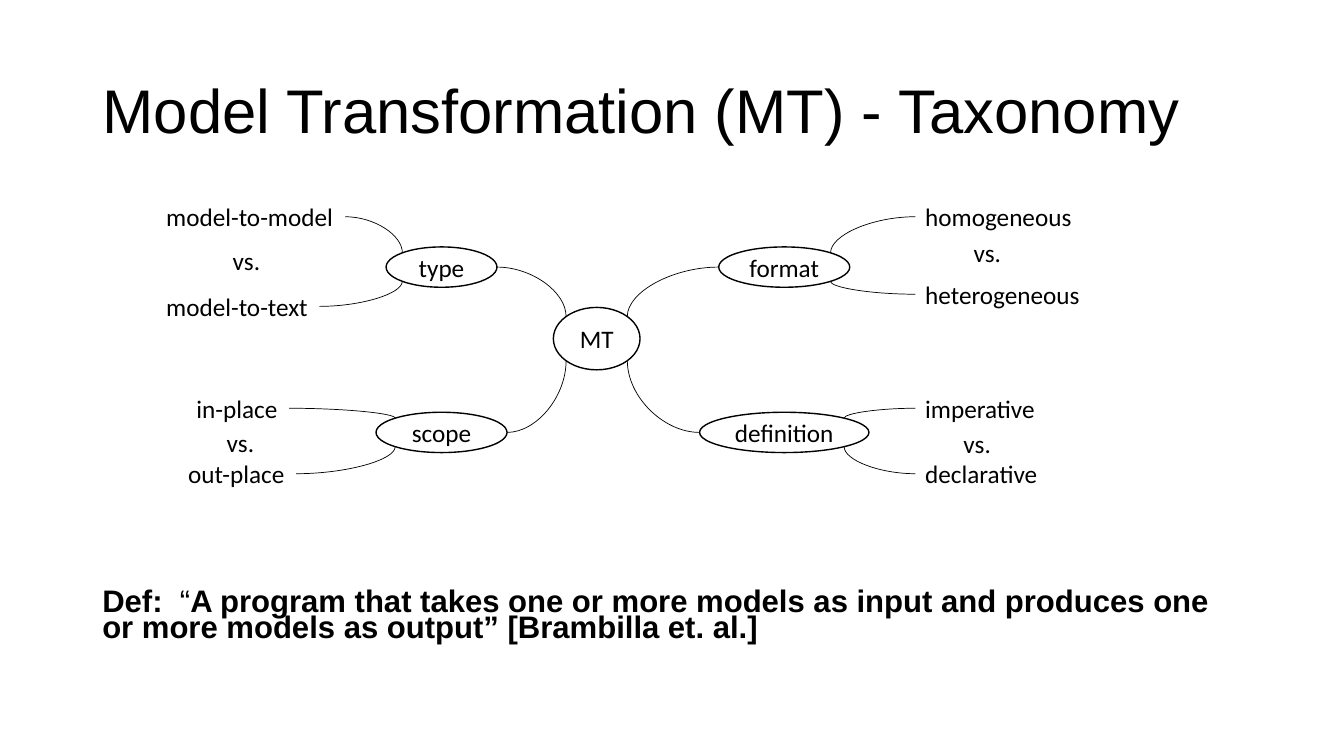
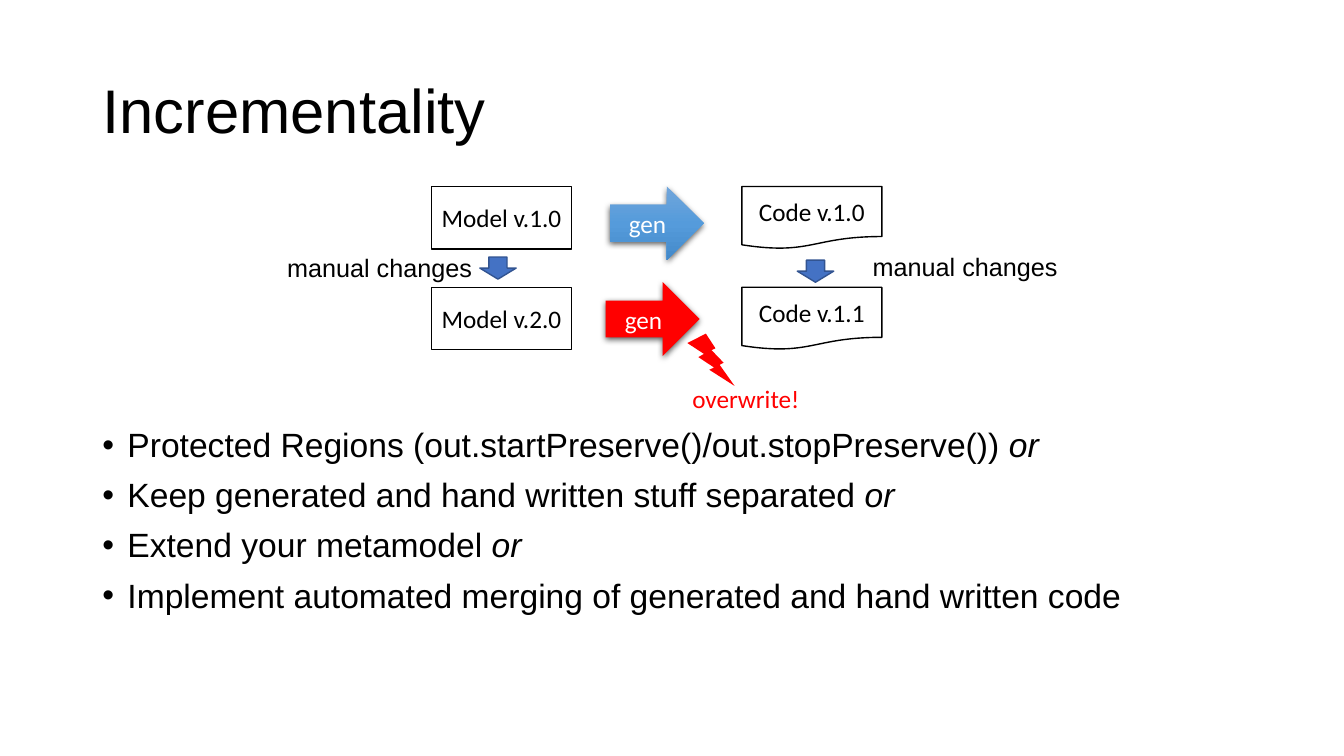
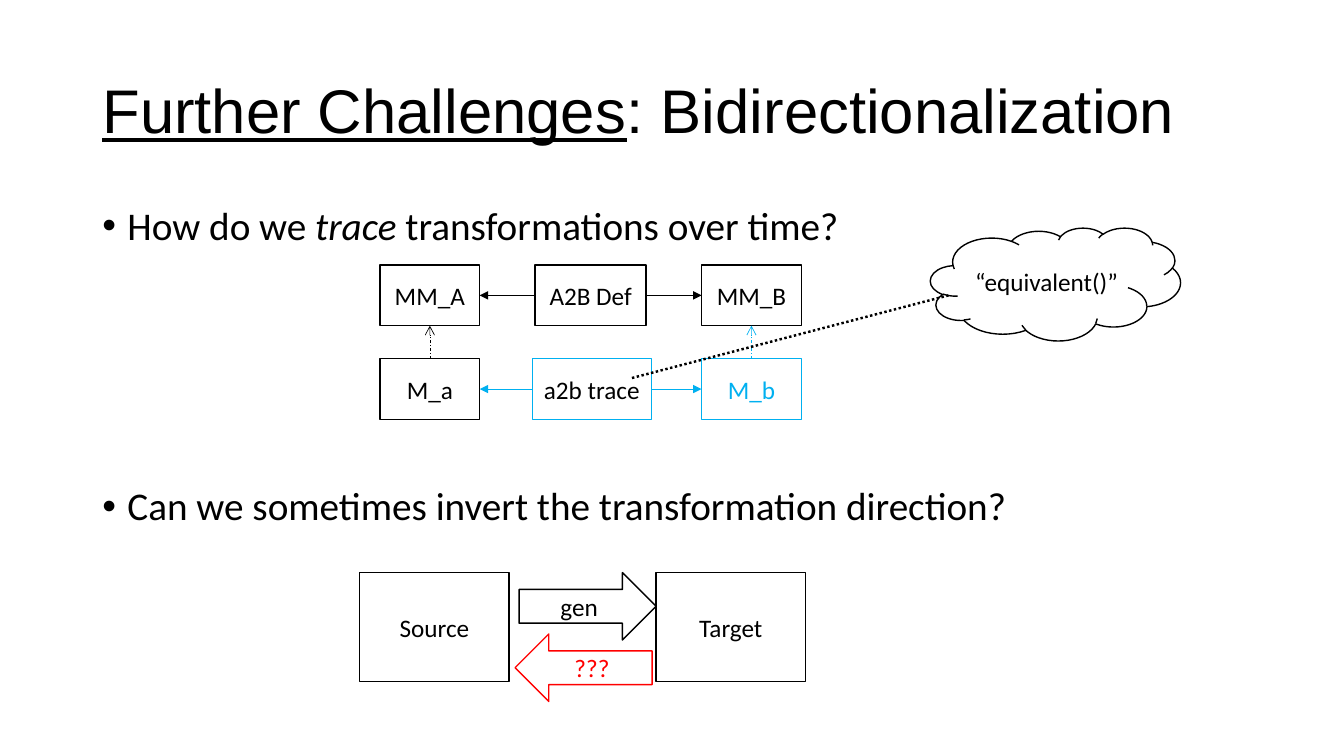
from copy import deepcopy
from math import sqrt

from lxml.etree import SubElement
from pptx import Presentation
from pptx.dml.color import RGBColor
from pptx.enum.dml import MSO_LINE
from pptx.enum.shapes import MSO_CONNECTOR, MSO_SHAPE
from pptx.enum.text import MSO_ANCHOR, MSO_AUTO_SIZE, PP_ALIGN
from pptx.oxml.ns import qn
from pptx.util import Pt

BLACK, WHITE, RED, CYAN = "000000", "FFFFFF", "FF0000", "00B0F0"
BLUE, DARK_BLUE = "4472C4", "325491"
GRADIENT = ((0, "71A6DB"), (0.5, "559BDB"), (1, "448ACA"))
HEADING_FONT, DIAGRAM_FONT = "Arial", "Calibri"
MARGIN, CONTENT_WIDTH = 66, 828
LABEL_HEIGHT = 28.8

# Connection sites as (index, horizontal, vertical), the last two from -1 to 1
TOP, LEFT, BOTTOM, RIGHT = range(4)
BOX_SITES = {"left": (LEFT, -1, 0), "right": (RIGHT, 1, 0)}
DIAGONAL = 1 / sqrt(2)
ELLIPSE_SITES = {
    "top left": (1, -DIAGONAL, -DIAGONAL),
    "left": (2, -1, 0),
    "bottom left": (3, -DIAGONAL, DIAGONAL),
    "bottom right": (5, DIAGONAL, DIAGONAL),
    "right": (6, 1, 0),
    "top right": (7, DIAGONAL, -DIAGONAL),
}


def rgb(value):
    return RGBColor.from_string(value)


def points(*lengths):
    return [Pt(length) for length in lengths]


def add_run(paragraph, text, size, font=DIAGRAM_FONT, color=BLACK,
            bold=None, italic=None, underline=None):
    run = paragraph.add_run()
    run.text = text
    run.font.size = Pt(size)
    run.font.name = font
    run.font.color.rgb = rgb(color)
    run.font.bold, run.font.italic, run.font.underline = bold, italic, underline


def add_titled_slide(presentation, *runs):
    """Each run is a text and whether it is underlined."""
    slide = presentation.slides.add_slide(presentation.slide_layouts[5])
    title = slide.shapes.title
    title.left, title.top, title.width, title.height = points(
        MARGIN, 28.8, CONTENT_WIDTH, 104.4)
    title.text_frame.vertical_anchor = MSO_ANCHOR.MIDDLE
    paragraph = title.text_frame.paragraphs[0]
    paragraph.alignment = PP_ALIGN.LEFT
    paragraph.line_spacing = 0.9
    for text, underline in runs:
        add_run(paragraph, text, 44, HEADING_FONT, underline=underline)
    return slide


def add_body(slide, top, height):
    body = slide.shapes.add_textbox(*points(MARGIN, top, CONTENT_WIDTH, height))
    body.text_frame.word_wrap = True
    return body.text_frame


def add_bullets(slide, top, height, items, size, font, later_gap=10):
    """Each item is a list of (text, italic) runs."""
    frame = add_body(slide, top, height)
    for number, runs in enumerate(items):
        paragraph = frame.add_paragraph() if number else frame.paragraphs[0]
        paragraph.line_spacing = 0.9
        paragraph.space_before = Pt(later_gap if number else 10)
        properties = paragraph._p.get_or_add_pPr()
        properties.set("marL", str(Pt(18)))
        properties.set("indent", str(-Pt(18)))
        SubElement(properties, qn("a:buFont")).set("typeface", "Arial")
        SubElement(properties, qn("a:buChar")).set("char", "•")
        for text, italic in runs:
            add_run(paragraph, text, size, font, italic=italic)


def add_label(slide, text, left, top, width, font=DIAGRAM_FONT, color=BLACK):
    label = slide.shapes.add_textbox(*points(left, top, width, LABEL_HEIGHT))
    label.text_frame.word_wrap = False
    label.text_frame.auto_size = MSO_AUTO_SIZE.SHAPE_TO_FIT_TEXT
    add_run(label.text_frame.paragraphs[0], text, 18, font, color)
    return label


def add_figure(slide, kind, box, text="", fill=WHITE, line=BLACK, color=BLACK):
    figure = slide.shapes.add_shape(kind, *points(*box))
    figure.shadow.inherit = False
    figure.fill.solid()
    figure.fill.fore_color.rgb = rgb(fill)
    if line:
        figure.line.color.rgb = rgb(line)
        figure.line.width = Pt(1)
    else:
        figure.line.fill.background()
    if text:
        frame = figure.text_frame
        frame.word_wrap = False
        frame.vertical_anchor = MSO_ANCHOR.MIDDLE
        frame.paragraphs[0].alignment = PP_ALIGN.CENTER
        add_run(frame.paragraphs[0], text, 18, color=color)
    return figure


def add_shadow(figure):
    effects = figure._element.spPr.find(qn("a:effectLst"))
    shadow = SubElement(effects, qn("a:outerShdw"), blurRad=str(Pt(4.5)),
                        dist=str(Pt(1.5)), dir="5400000", rotWithShape="0")
    shade = SubElement(shadow, qn("a:srgbClr"), val=BLACK)
    SubElement(shade, qn("a:alpha"), val="63000")


def set_gradient(figure, stops):
    figure.fill.gradient()
    figure.fill.gradient_angle = 270
    stop_list = figure._element.spPr.find(qn("a:gradFill")).find(qn("a:gsLst"))
    stop_list.insert(1, deepcopy(stop_list[0]))
    for stop, (position, color) in zip(figure.fill.gradient_stops, stops):
        stop.position = position
        stop.color.rgb = rgb(color)


def add_line(slide, start, end, kind=MSO_CONNECTOR.STRAIGHT, color=BLACK,
             width=0.5, dash=None):
    """Start and end are (x, y) in EMU."""
    connector = slide.shapes.add_connector(kind, *start, *end)
    connector.line.color.rgb = rgb(color)
    connector.line.width = Pt(width)
    if dash:
        connector.line.dash_style = dash
    SubElement(connector._element.spPr, qn("a:effectLst"))
    return connector


def add_arrow(slide, source, source_site, target, target_site, color=BLACK,
              head="triangle", dash=None):
    arrow = add_line(slide, (0, 0), (0, 0), color=color, dash=dash)
    arrow.begin_connect(source, source_site)
    arrow.end_connect(target, target_site)
    SubElement(arrow.line._get_or_add_ln(), qn("a:tailEnd"), type=head)


def site_point(shape, site):
    _, horizontal, vertical = site
    return (round(shape.left + shape.width * (1 + horizontal) / 2),
            round(shape.top + shape.height * (1 + vertical) / 2))


def add_curve(slide, source, source_site, target, target_site):
    """Leave the source sideways and reach the target vertically."""
    curve = add_line(slide, site_point(source, source_site),
                     site_point(target, target_site), MSO_CONNECTOR.CURVE)
    curve._element.spPr.find(qn("a:prstGeom")).set("prst", "curvedConnector2")
    links = curve._element.nvCxnSpPr.cNvCxnSpPr
    for link, shape, site in (
            (links.get_or_add_stCxn(), source, source_site),
            (links.get_or_add_endCxn(), target, target_site)):
        link.id = shape.shape_id
        link.idx = site[0]


def add_branch(slide, hub, topic_name, left, top, width, side, level, options, versus):
    """A topic on one side of the hub, with its two options further out."""
    inward = "right" if side == "left" else "left"
    topic = add_figure(slide, MSO_SHAPE.OVAL, (left, top, width, LABEL_HEIGHT), topic_name)
    add_curve(slide, topic, ELLIPSE_SITES[inward], hub, ELLIPSE_SITES[f"{level} {side}"])
    for edge, option in zip(("top", "bottom"), options):
        label = add_label(slide, *option)
        add_curve(slide, label, BOX_SITES[inward], topic, ELLIPSE_SITES[f"{edge} {side}"])
    add_label(slide, "vs.", *versus, 34.6)


def build_taxonomy(presentation):
    slide = add_titled_slide(presentation, ("Model Transformation (MT) - Taxonomy", None))
    paragraph = add_body(slide, 419, 48).paragraphs[0]
    paragraph.line_spacing = 0.7
    paragraph.space_before = Pt(10)
    for text, bold in (
            ("Def: ", True),
            (" “", False),
            ("A program that takes one or more models as input and produces one "
             "or more models as output” [Brambilla et. al.]", True)):
        add_run(paragraph, text, 22.2, HEADING_FONT, bold=bold)

    hub = add_figure(slide, MSO_SHAPE.OVAL, (395.3, 219.6, 61.9, 44.6), "MT")
    upper, lower, right_column = 176.4, 294.5, 653.8
    add_branch(slide, hub, "type", 275.8, upper, 79.2, "left", "top",
               (("model-to-model", 111.6, 140.4, 135),
                ("model-to-text", 111.6, 204.5, 116.6)), (159.1, 171.4))
    add_branch(slide, hub, "format", 513.4, upper, 93.6, "right", "top",
               (("homogeneous", right_column, 140.4, 120.2),
                ("heterogeneous", right_column, 195.8, 126)), (688.3, 166.3))
    add_branch(slide, hub, "scope", 268.6, lower, 93.6, "left", "bottom",
               (("in-place", 133.2, 277.2, 73.4),
                ("out-place", 127.4, 324, 84.2)), (154.8, 301.7))
    add_branch(slide, hub, "definition", 499.7, lower, 121, "right", "bottom",
               (("imperative", right_column, 277.2, 93.6),
                ("declarative", right_column, 324, 95.8)), (681.1, 302.4))


def build_incrementality(presentation):
    slide = add_titled_slide(presentation, ("Incrementality", None))
    add_bullets(slide, 302.4, 183.6, (
        (("Protected Regions (out.startPreserve()/out.stopPreserve()) ", None), ("or", True)),
        (("Keep generated and hand written stuff separated ", None), ("or", True)),
        (("Extend your metamodel ", None), ("or", True)),
        (("Implement automated merging of generated and hand written code", None),),
    ), 24, HEADING_FONT)

    for top, model, code in ((133.2, "Model v.1.0", "Code v.1.0"),
                             (205.2, "Model v.2.0", "Code v.1.1")):
        add_figure(slide, MSO_SHAPE.FLOWCHART_PROCESS, (308.2, top, 100, 44.6), model)
        add_figure(slide, MSO_SHAPE.FLOWCHART_DOCUMENT, (529.9, top, 100, 44.6), code)
    for left, top in ((342.7, 183.6), (569.5, 185.8)):
        add_figure(slide, MSO_SHAPE.DOWN_ARROW, (left, top, 26, 15.8),
                   fill=BLUE, line=DARK_BLUE)
    for left, top in ((198, 176.4), (616.3, 175.7)):
        add_label(slide, "manual changes", left, top, 147.6, HEADING_FONT)

    first, second = [
        add_figure(slide, MSO_SHAPE.RIGHT_ARROW, (left, top, 67, 52.6), "gen",
                   fill=RED, line=None, color=WHITE)
        for left, top in ((435.6, 133.2), (432.7, 201.6))]
    set_gradient(first, GRADIENT)
    add_shadow(first)
    add_shadow(second)
    add_figure(slide, MSO_SHAPE.LIGHTNING_BOLT, (491, 238.3, 33.8, 37.4),
               fill=RED, line=None)
    add_label(slide, "overwrite!", 487.4, 270, 92.2, color=RED)


def build_bidirectionalization(presentation):
    slide = add_titled_slide(presentation, ("Further Challenges", True),
                             (": Bidirectionalization", None))
    add_bullets(slide, 144, 342.7, (
        (("How do we ", None), ("trace", True), (" transformations over time?", None)),
        (("Can we sometimes invert the transformation direction?", None),),
    ), 28, DIAGRAM_FONT, later_gap=170)

    def add_box(text, left, top, width, height=43.2, line=BLACK, color=BLACK):
        return add_figure(slide, MSO_SHAPE.RECTANGLE, (left, top, width, height),
                          text, line=line, color=color)

    upper, lower = 189.4, 256.3
    metamodel_a = add_box("MM_A", 271.4, upper, 71.3)
    metamodel_b = add_box("MM_B", 501.1, upper, 71.3)
    definition = add_box("A2B Def", 382.3, upper, 79.2)
    model_a = add_box("M_a", 271.4, lower, 71.3)
    model_b = add_box("M_b", 501.1, lower, 71.3, line=CYAN, color=CYAN)
    trace = add_box("a2b trace", 380.2, lower, 85, line=CYAN)
    for middle, left_box, right_box, color in (
            (definition, metamodel_a, metamodel_b, BLACK),
            (trace, model_a, model_b, CYAN)):
        add_arrow(slide, middle, LEFT, left_box, RIGHT, color)
        add_arrow(slide, middle, RIGHT, right_box, LEFT, color)
    for model, metamodel, color in ((model_a, metamodel_a, BLACK),
                                    (model_b, metamodel_b, CYAN)):
        add_arrow(slide, model, TOP, metamodel, BOTTOM, color, "arrow", MSO_LINE.DASH_DOT)

    add_figure(slide, MSO_SHAPE.CLOUD, (664.6, 162.7, 178.6, 80.6), "“equivalent()”")
    add_line(slide, points(451.4, 270), points(677.5, 211), width=1.75,
             dash=MSO_LINE.ROUND_DOT)

    add_box("Source", 257, 409, 106.6, 77.8)
    add_box("Target", 468.7, 409, 106.6, 77.8)
    add_figure(slide, MSO_SHAPE.RIGHT_ARROW, (370.8, 409, 97.9, 48.2), "gen")
    add_figure(slide, MSO_SHAPE.LEFT_ARROW, (367.9, 452.9, 97.9, 48.2), "???",
               line=RED, color=RED)


def main():
    presentation = Presentation()
    presentation.slide_width, presentation.slide_height = points(960, 540)
    build_taxonomy(presentation)
    build_incrementality(presentation)
    build_bidirectionalization(presentation)
    presentation.save("out.pptx")


if __name__ == "__main__":
    main()
